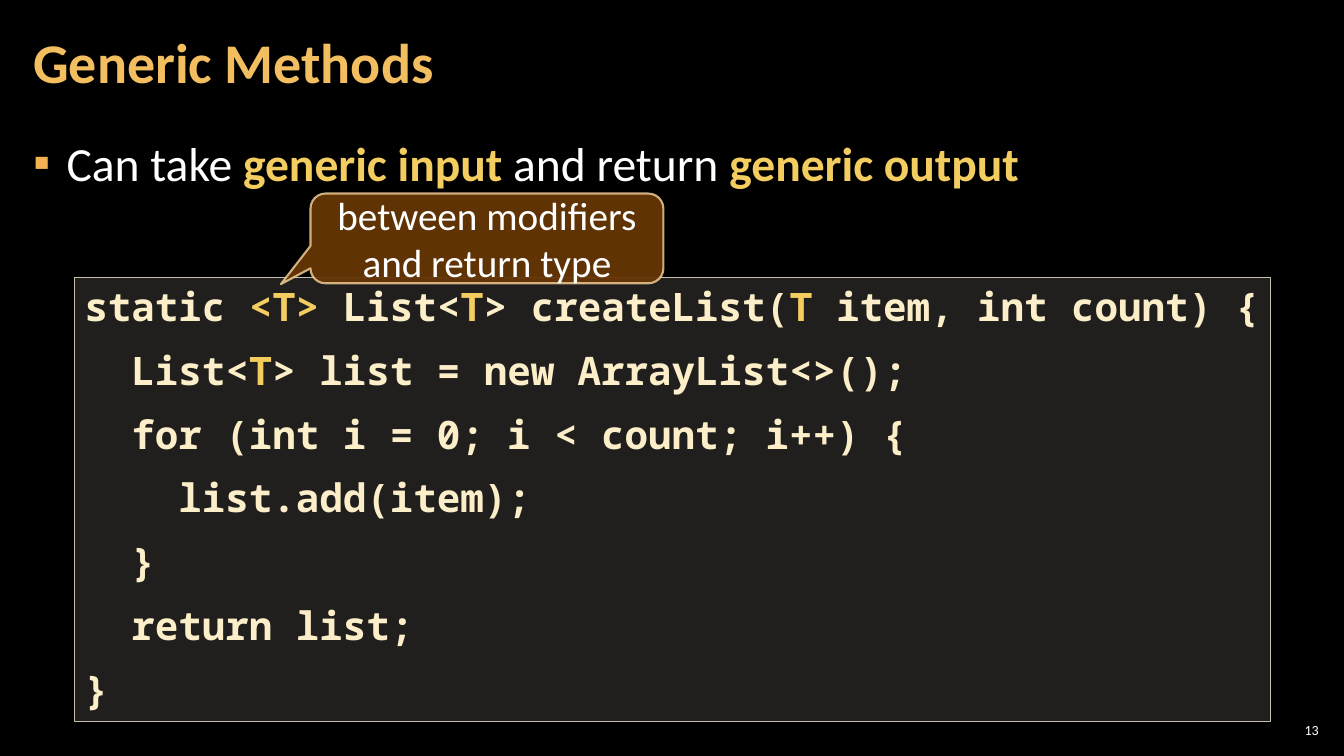
import dataclasses
import typing

import lxml.etree
import pptx
import pptx.dml.color
import pptx.enum.shapes
import pptx.enum.text
import pptx.oxml.ns
import pptx.util

Inches = pptx.util.Inches
Pt = pptx.util.Pt
RGBColor = pptx.dml.color.RGBColor
Align = pptx.enum.text.PP_ALIGN
Anchor = pptx.enum.text.MSO_ANCHOR
AutoSize = pptx.enum.text.MSO_AUTO_SIZE
Preset = pptx.enum.shapes.MSO_SHAPE
qn = pptx.oxml.ns.qn

BLACK = RGBColor(0x00, 0x00, 0x00)
WHITE = RGBColor(0xFF, 0xFF, 0xFF)
TITLE_GOLD = RGBColor(0xF3, 0xBE, 0x60)
ACCENT_GOLD = RGBColor(0xF3, 0xCD, 0x60)
BULLET_ORANGE = RGBColor(0xF2, 0xB2, 0x54)
CODE_CREAM = RGBColor(0xFB, 0xEE, 0xC9)
PANEL_FILL = RGBColor(0xD9, 0xD5, 0xC7)
PANEL_LINE = RGBColor(0xC7, 0xBF, 0xAC)
CALLOUT_FILL = RGBColor(0x66, 0x36, 0x06)
CALLOUT_LINE = RGBColor(0xF8, 0xD4, 0x9E)

TEXT_FONT = "Calibri"
CODE_FONT = "Noto Sans Mono"


@dataclasses.dataclass(frozen=True)
class Span:
    text: str
    color: RGBColor
    bold: bool = False


@dataclasses.dataclass(frozen=True)
class Panel:
    preset: Preset
    area: tuple[float, float, float, float]
    fill: RGBColor
    fill_opacity: int
    line: RGBColor
    line_opacity: int
    line_width: float
    adjustments: tuple[float, ...] = ()


CODE_PANEL = Panel(Preset.RECTANGLE, (0.74, 2.75, 11.86, 4.41),
                   PANEL_FILL, 15, PANEL_LINE, 100, 1)
CALLOUT = Panel(Preset.ROUNDED_RECTANGULAR_CALLOUT, (3.08, 1.92, 3.5, 0.89),
                CALLOUT_FILL, 95, CALLOUT_LINE, 80, 1.5, (-0.584, 0.51, 0.167))


def code(text: str) -> Span:
    return Span(text, CODE_CREAM, True)


def accent(text: str) -> Span:
    return Span(text, ACCENT_GOLD, True)


CODE_LINES = [
    [code("static "), accent("<T>"), code(" List<"), accent("T"),
     code("> createList("), accent("T"), code(" item, int count) {")],
    [code("  List<"), accent("T"), code("> list = new ArrayList<>();")],
    [code("  for (int i = 0; i < count; i++) {")],
    [code("    list.add(item);")],
    [code("  }")],
    [code("  return list;")],
    [code("}")],
]
BODY_LINES = [[Span("Can take ", WHITE), accent("generic input "),
               Span("and return ", WHITE), accent("generic output")]]


def place(box: typing.Any, left: float, top: float, width: float, height: float) -> None:
    box.left, box.top = Inches(left), Inches(top)
    box.width, box.height = Inches(width), Inches(height)


def write_text(box: typing.Any, lines: list[list[Span]], *, size: float,
               font: str = TEXT_FONT, align: Align = Align.LEFT,
               anchor: Anchor = Anchor.TOP, side: float = 0.1, edge: float = 0.05,
               spacing: float = 1.0, before: float = 0, after: float = 0) -> None:
    frame = box.text_frame
    frame.word_wrap = True
    frame.auto_size = AutoSize.NONE
    frame.vertical_anchor = anchor
    frame.margin_left = frame.margin_right = Inches(side)
    frame.margin_top = frame.margin_bottom = Inches(edge)
    for index, line in enumerate(lines):
        para = frame.add_paragraph() if index else frame.paragraphs[0]
        para.alignment = align
        para.line_spacing = spacing
        para.space_before, para.space_after = Pt(before), Pt(after)
        for span in line:
            run = para.add_run()
            run.text = span.text
            run.font.name, run.font.size = font, Pt(size)
            run.font.bold = span.bold
            run.font.color.rgb = span.color


def add_bullet(para: typing.Any, symbol: str, color: RGBColor, indent: float) -> None:
    properties = para._p.get_or_add_pPr()
    properties.set("marL", str(Inches(indent)))
    properties.set("indent", str(-Inches(indent)))
    bullet_color = lxml.etree.SubElement(properties, qn("a:buClr"))
    lxml.etree.SubElement(bullet_color, qn("a:srgbClr"), val=str(color))
    lxml.etree.SubElement(properties, qn("a:buFont"), typeface=TEXT_FONT)
    lxml.etree.SubElement(properties, qn("a:buChar"), char=symbol)


def paint(fill: typing.Any, color: RGBColor, opacity: int) -> None:
    fill.solid()
    fill.fore_color.rgb = color
    if opacity < 100:
        value = fill._xPr.find(f"{qn('a:solidFill')}/{qn('a:srgbClr')}")
        lxml.etree.SubElement(value, qn("a:alpha"), val=str(opacity * 1000))


def add_panel(page: typing.Any, panel: Panel) -> typing.Any:
    shape = page.shapes.add_shape(panel.preset, *map(Inches, panel.area))
    shape.shadow.inherit = False
    for index, value in enumerate(panel.adjustments):
        shape.adjustments[index] = value
    paint(shape.fill, panel.fill, panel.fill_opacity)
    shape.line.width = Pt(panel.line_width)
    paint(shape.line.fill, panel.line, panel.line_opacity)
    return shape


def main() -> None:
    deck = pptx.Presentation()
    deck.slide_width, deck.slide_height = Inches(13.33), Inches(7.5)
    page = deck.slides.add_slide(deck.slide_layouts[1])
    page.background.fill.solid()
    page.background.fill.fore_color.rgb = BLACK

    title = page.shapes.title
    place(title, 0.21, 0.04, 10.47, 1.21)
    write_text(title, [[Span("Generic Methods", TITLE_GOLD, True)]], size=40,
               anchor=Anchor.MIDDLE, side=0.12, edge=0.04, spacing=0.9)

    body = page.placeholders[1]
    place(body, 0.21, 1.26, 12.91, 6.09)
    write_text(body, BODY_LINES, size=34, side=0.12, edge=0.04,
               spacing=1.05, before=6, after=6)
    add_bullet(body.text_frame.paragraphs[0], "▪", BULLET_ORANGE, 0.33)

    number = page.shapes.add_textbox(*map(Inches, (12.65, 7.14, 0.47, 0.21)))
    write_text(number, [[Span("13", WHITE)]], size=10, align=Align.RIGHT,
               anchor=Anchor.MIDDLE, side=0.04, edge=0.04)

    write_text(add_panel(page, CODE_PANEL), CODE_LINES, size=28,
               font=CODE_FONT, before=12)
    write_text(add_panel(page, CALLOUT),
               [[Span("between modifiers and return type", WHITE)]],
               size=28, align=Align.CENTER, anchor=Anchor.MIDDLE)

    deck.save("out.pptx")


if __name__ == "__main__":
    main()
